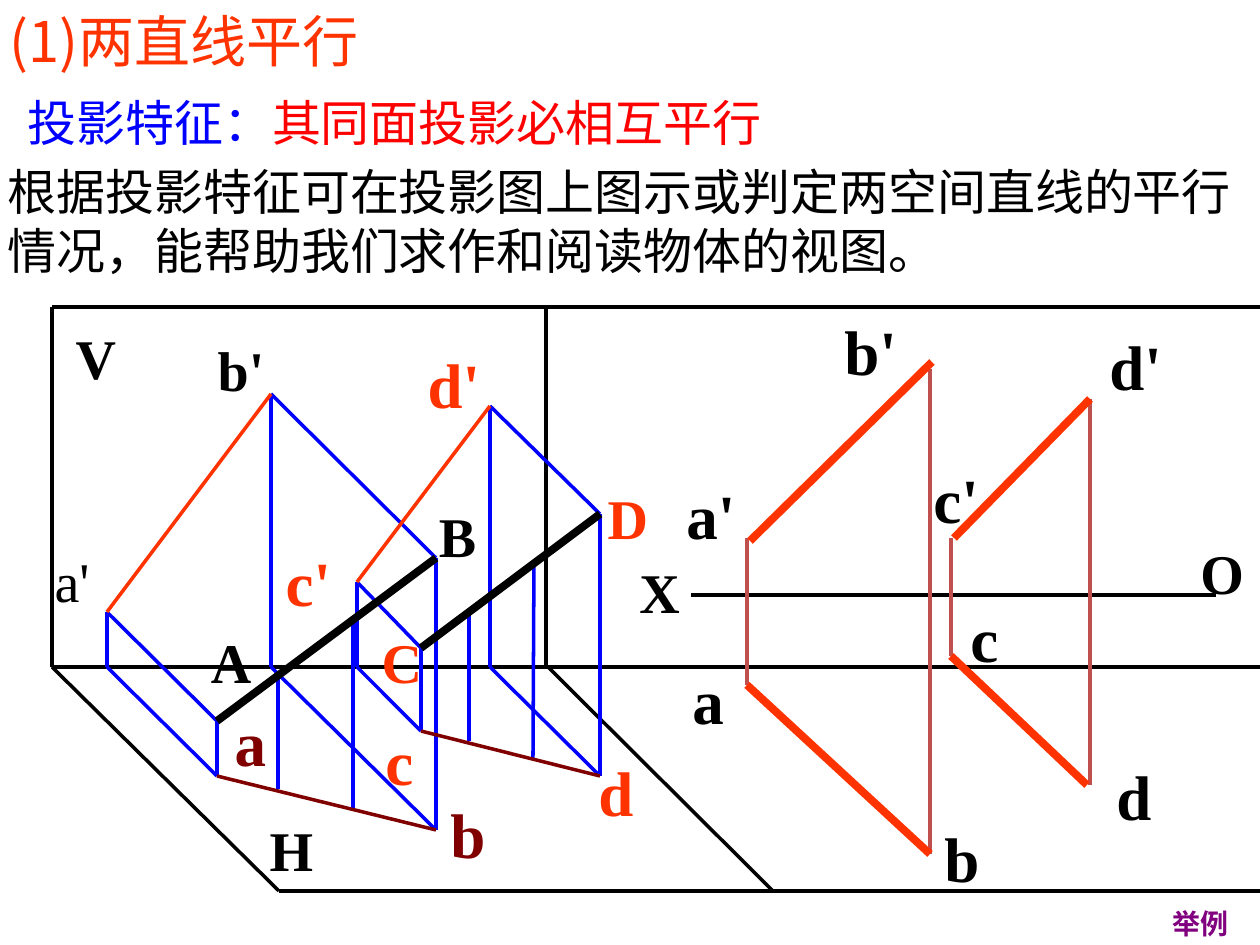
import pptx
import pptx.dml.color
import pptx.enum.shapes
import pptx.enum.text
import pptx.oxml.ns
import pptx.util
from lxml import etree

PX = 914400 / 126
SERIF, SANS = "Times New Roman", "Noto Sans CJK SC"
BLACK, BLUE, RED, ORANGE = "000000", "0000FF", "FF0000", "FF3300"
MAROON, BRICK, PURPLE = "800000", "C0504D", "800080"
LEFT, CENTER = pptx.enum.text.PP_ALIGN.LEFT, pptx.enum.text.PP_ALIGN.CENTER
TOP, MIDDLE = pptx.enum.text.MSO_ANCHOR.TOP, pptx.enum.text.MSO_ANCHOR.MIDDLE


def emu(n):
    """Turn px into EMU."""
    return pptx.util.Emu(round(n * PX))


def rgb(value):
    """Turn a hex string into a colour."""
    return pptx.dml.color.RGBColor.from_string(value)


def set_attrs(obj, **values):
    """Set each named attribute of an object."""
    for name, value in values.items():
        setattr(obj, name, value)


def fill_text(sp, runs, size, font=SERIF, bold=False, align=LEFT, anchor=TOP, wrap=True):
    """Write (text, colour) runs as the one paragraph of a shape."""
    tf = sp.text_frame
    set_attrs(tf, word_wrap=wrap, vertical_anchor=anchor,
              auto_size=pptx.enum.text.MSO_AUTO_SIZE.NONE)
    p = tf.paragraphs[0]
    set_attrs(p, alignment=align, space_before=pptx.util.Pt(0))
    for text, color in runs:
        r = p.add_run()
        r.text = text
        set_attrs(r.font, size=pptx.util.Pt(size), name=font, bold=bold)
        r.font.color.rgb = rgb(color)
        ea = etree.SubElement(r.font._element, pptx.oxml.ns.qn("a:ea"))
        ea.set("typeface", SANS)
    return p


def add_text(shapes, box, runs, size, **style):
    """Add a text box at a px box."""
    sp = shapes.add_textbox(*map(emu, box))
    fill_text(sp, runs, size, **style)


def add_line(shapes, origin, start, end, color, width=2):
    """Add a line between two points given relative to an origin."""
    x, y = origin
    ends = (x + start[0], y + start[1], x + end[0], y + end[1])
    line = shapes.add_connector(pptx.enum.shapes.MSO_CONNECTOR.STRAIGHT, *map(emu, ends))
    line.line.color.rgb = rgb(color)
    line.line.width = pptx.util.Pt(width)
    etree.SubElement(line._element.spPr, pptx.oxml.ns.qn("a:effectLst"))


def add_labels(shapes, origin, labels, **style):
    """Add point labels given relative to an origin."""
    for text, x, y, width, size, color, bold in labels:
        box = (origin[0] + x, origin[1] + y, width, round(size * 2.45))
        add_text(shapes, box, [(text, color)], size, bold=bold, **style)


def place(sp, box):
    """Move a placeholder to a px box."""
    set_attrs(sp, **dict(zip(("left", "top", "width", "height"), map(emu, box))))


def add_heading(s, box):
    """Place the title, the feature line and the explanation."""
    x, y, width, height = box
    title, body = s.shapes.title, s.placeholders[1]
    place(title, (x + 2, y, 389, 79))
    fill_text(title, [("(1)两直线平行", ORANGE)], 32, font=SANS, wrap=False)
    add_text(s.shapes, (x + 20, y + 86, 760, 72),
             [("投影特征：", BLUE), ("其同面投影必相互平行", RED)], 28, wrap=False)
    place(body, (x, y + 155, width, height - 155))
    p = fill_text(body, [("根据投影特征可在投影图上图示或判定两空间直线的平行情况，"
                          "能帮助我们求作和阅读物体的视图。", BLACK)], 28)
    pPr = p._p.get_or_add_pPr()
    pPr.set("marL", "0")
    pPr.set("indent", "0")
    etree.SubElement(pPr, pptx.oxml.ns.qn("a:buNone"))


def add_space_view(s, box):
    """Draw the two lines in space with their projections on V and H."""
    x, y, width, height = box
    origin, axis = (x, y), 360
    shapes = s.shapes.add_group_shape().shapes
    pts = {"a'": (55, 305), "ax": (55, axis), "A": (165, 414), "a": (165, 469),
           "b'": (219, 87), "bx": (219, axis), "B": (384, 251), "b": (384, 523),
           "c'": (305, 275), "cx": (305, axis), "C": (369, 341), "c": (369, 424),
           "d'": (438, 99), "dx": (438, axis), "D": (548, 207), "d": (548, 469)}
    frame = [((0, axis), (227, height)), ((0, axis), (width, axis)),
             ((0, 0), (0, axis)), ((0, 0), (width, 0)),
             ((227, height), (width, height)), ((494, 0), (494, axis)),
             ((496, axis), (721, height))]
    drops = [((226, 366), (226, 482)), ((301, 313), (301, 501)),
             ((417, 304), (417, 434)), ((481, 452), (482, 256))]
    for start, end in frame:
        add_line(shapes, origin, start, end, BLACK)
    for n in "abcd":
        front, foot, top, space = n + "'", n + "x", n, n.upper()
        for start, end in ((front, foot), (foot, top), (top, space), (space, front)):
            add_line(shapes, origin, pts[start], pts[end], BLUE)
    for start, end in drops:
        add_line(shapes, origin, start, end, BLUE)
    for m, n in ("ab", "cd"):
        add_line(shapes, origin, pts[m], pts[n], MAROON)
        add_line(shapes, origin, pts[m + "'"], pts[n + "'"], ORANGE)
        add_line(shapes, origin, pts[m.upper()], pts[n.upper()], BLACK, 4.5)
    labels = [("d'", 360, 32, 84, 36, ORANGE, True), ("H", 205, 503, 69, 32, BLACK, True),
              ("V", 11, 11, 66, 32, BLACK, True), ("A", 145, 315, 68, 32, BLACK, True),
              ("D", 543, 171, 66, 32, ORANGE, True), ("B", 374, 189, 63, 32, BLACK, True),
              ("C", 317, 315, 66, 32, ORANGE, True), ("c'", 221, 230, 71, 36, ORANGE, True),
              ("b'", 153, 23, 72, 32, BLACK, True), ("a'", -10, 234, 60, 32, BLACK, False),
              ("b", 386, 482, 60, 36, MAROON, True), ("a", 170, 390, 57, 36, MAROON, True),
              ("c", 321, 409, 53, 36, ORANGE, True), ("d", 534, 440, 60, 36, ORANGE, True)]
    add_labels(shapes, origin, labels, align=CENTER, anchor=MIDDLE)


def add_flat_view(s, box):
    """Draw the unfolded projections on either side of the X axis."""
    x, y, width, height = box
    origin = (x, y)
    shapes = s.shapes.add_group_shape().shapes
    links = [((239, 7), (239, height)), ((56, 176), (56, 323)),
             ((260, 176), (260, 294)), ((399, 37), (399, 423))]
    views = [((59, 179), (241, 0)), ((56, 323), (239, height)),
             ((263, 176), (399, 37)), ((260, 294), (396, 423))]
    add_line(shapes, origin, (0, 233), (width, 233), BLACK)
    for start, end in links:
        add_line(shapes, origin, start, end, BRICK)
    for start, end in views:
        add_line(shapes, origin, start, end, ORANGE, 4.5)
    places = [("a'", -17, 108, 74, 36), ("b'", 141, -56, 78, 36), ("d'", 406, -41, 78, 36),
              ("c'", 230, 92, 71, 36), ("d", 413, 389, 60, 36), ("c", 267, 231, 53, 36),
              ("b", 241, 451, 60, 36), ("a", -11, 293, 57, 36), ("O", 497, 170, 69, 32),
              ("X", -64, 189, 91, 32)]
    add_labels(shapes, origin, [(*spot, BLACK, True) for spot in places])


def main():
    """Build the slide and save it."""
    prs = pptx.Presentation()
    set_attrs(prs, slide_width=emu(1260), slide_height=emu(945))
    s = prs.slides.add_slide(prs.slide_layouts[1])
    add_heading(s, (-5, 0, 1266, 285))
    add_space_view(s, (52, 307, 1208, 584))
    add_flat_view(s, (691, 362, 525, 492))
    add_text(s.shapes, (1148, 900, 105, 46), [("举例", PURPLE)], 16,
             font="Cambria", bold=True, align=CENTER, anchor=MIDDLE)
    prs.save("out.pptx")


if __name__ == "__main__":
    main()
